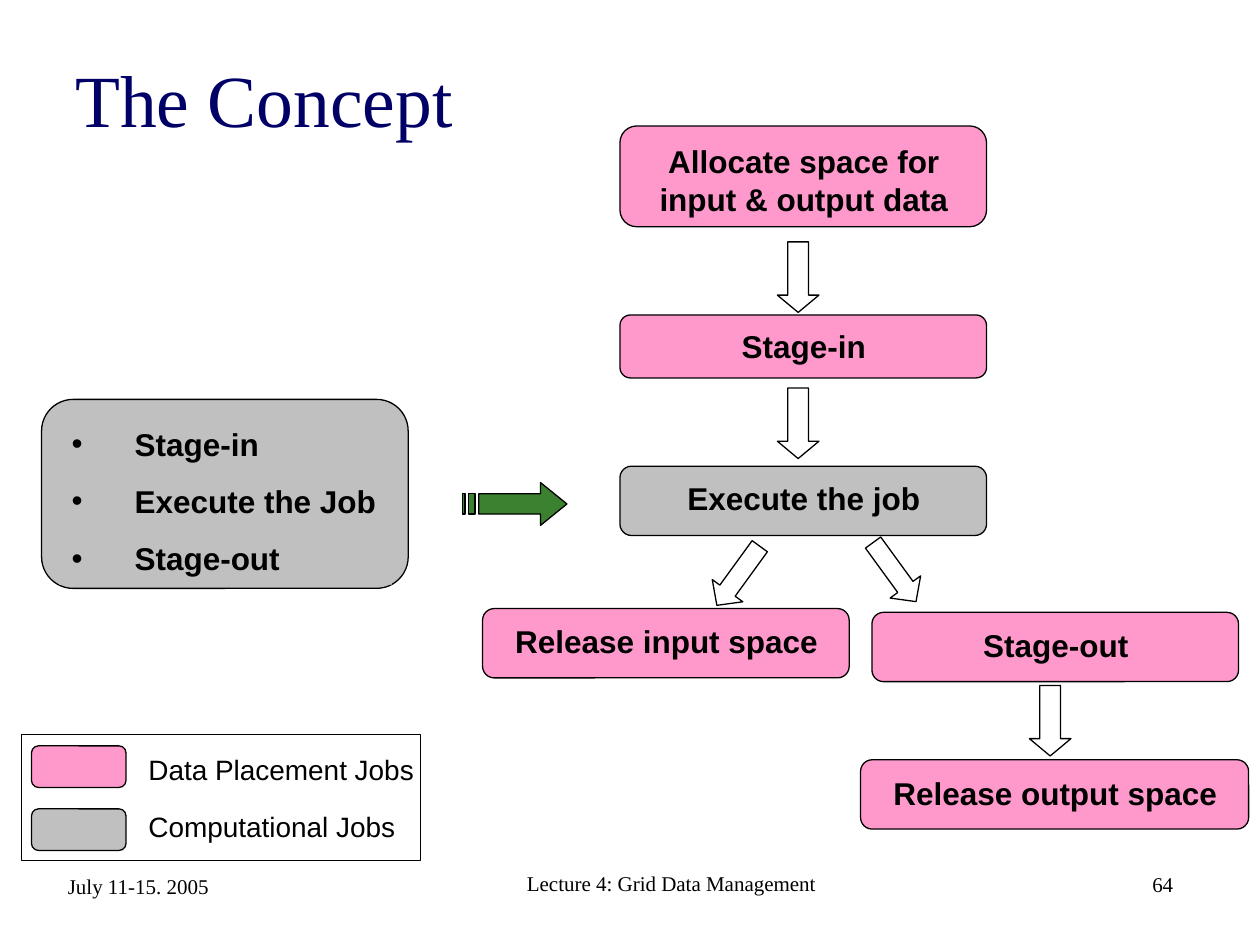
from dataclasses import dataclass
from typing import Any

from lxml.etree import SubElement
from pptx import Presentation
from pptx.dml.color import RGBColor
from pptx.enum.shapes import MSO_SHAPE as Preset
from pptx.enum.text import MSO_ANCHOR as Anchor, PP_ALIGN as Align
from pptx.oxml.ns import qn
from pptx.util import Emu, Pt

PX = 9144
BLACK, WHITE, NAVY = "000000", "FFFFFF", "000066"
PINK, GREY, GREEN = "FF99CC", "C0C0C0", "3B812F"
SANS, SERIF = "Arial", "Times New Roman"


@dataclass(frozen=True)
class Box:
    left: int
    top: int
    width: int
    height: int

    def emu(self) -> list[Emu]:
        return [Emu(n * PX) for n in (self.left, self.top, self.width, self.height)]


@dataclass(frozen=True)
class Step:
    lines: tuple[str, ...]
    box: Box
    fill: str = PINK
    text_drop: int = 6
    text_height: int = 40
    bulleted: bool = False


@dataclass(frozen=True)
class Arrow:
    box: Box
    head: float = 0.416
    turn: int = 0


@dataclass(frozen=True)
class Label:
    text: str
    box: Box
    size: int = 12
    font: str = SERIF
    colour: str = BLACK
    align: Align = Align.LEFT
    anchor: Anchor = Anchor.BOTTOM


STEPS = [
    Step(("Stage-in", "Execute the Job", "Stage-out"), Box(33, 317, 291, 150),
         GREY, 15, 132, True),
    Step(("Allocate space for input & output data",), Box(492, 100, 291, 80),
         text_drop=8, text_height=70),
    Step(("Stage-in",), Box(492, 250, 291, 50), text_drop=5),
    Step(("Execute the job",), Box(492, 370, 291, 55), GREY, 5),
    Step(("Release input space",), Box(383, 483, 291, 55)),
    Step(("Stage-out",), Box(692, 486, 291, 55)),
    Step(("Release output space",), Box(683, 603, 308, 55)),
]

ARROWS = [
    Arrow(Box(617, 192, 33, 56)),
    Arrow(Box(617, 308, 33, 56)),
    Arrow(Box(571, 428, 30, 58), 0.48, 36),
    Arrow(Box(695, 425, 30, 58), 0.48, 324),
    Arrow(Box(817, 544, 33, 56)),
]

LEGEND = [("Data Placement Jobs", PINK, 592, 592),
          ("Computational Jobs", GREY, 642, 638)]

TITLE = Label("The Concept", Box(50, 30, 858, 95), 42, colour=NAVY, anchor=Anchor.MIDDLE)
FOOTER = [
    Label("July 11-15. 2005", Box(44, 684, 227, 34)),
    Label("Lecture 4: Grid Data Management", Box(375, 683, 316, 33), align=Align.CENTER),
    Label("64", Box(708, 683, 233, 34), align=Align.RIGHT),
]


def rgb(colour: str) -> RGBColor:
    return RGBColor.from_string(colour)


def apply(target: Any, values: dict[str, Any]) -> None:
    for name, value in values.items():
        setattr(target, name, value)


def paint(shape: Any, fill: str | None, line: str | None = BLACK) -> None:
    shape.shadow.inherit = False
    if fill:
        shape.fill.solid()
        shape.fill.fore_color.rgb = rgb(fill)
    else:
        shape.fill.background()
    if line:
        shape.line.color.rgb = rgb(line)
        shape.line.width = Pt(0.75)
    else:
        shape.line.fill.background()


def add_preset(shapes: Any, kind: Preset, box: Box, fill: str | None,
               line: str | None = BLACK, adjust: tuple[float, ...] = ()) -> Any:
    shape = shapes.add_shape(kind, *box.emu())
    for index, value in enumerate(adjust):
        shape.adjustments[index] = value
    paint(shape, fill, line)
    return shape


def add_rounded(shapes: Any, box: Box, fill: str) -> None:
    add_preset(shapes, Preset.ROUNDED_RECTANGLE, box, fill, adjust=(0.167,))


def add_bullet(paragraph: Any) -> None:
    properties = paragraph._p.get_or_add_pPr()
    properties.set("marL", str(50 * PX))
    properties.set("indent", str(-50 * PX))
    colour = SubElement(properties, qn("a:buClr"))
    SubElement(colour, qn("a:srgbClr"), val=BLACK)
    SubElement(properties, qn("a:buFont"), typeface=SANS)
    SubElement(properties, qn("a:buChar"), char="•")


def write(shape: Any, lines: tuple[str, ...], font: dict[str, Any], colour: str,
          align: Align, anchor: Anchor, bulleted: bool = False) -> None:
    frame = shape.text_frame
    apply(frame, {"word_wrap": True, "vertical_anchor": anchor})
    for index, line in enumerate(lines):
        paragraph = frame.add_paragraph() if index else frame.paragraphs[0]
        paragraph.alignment = align
        if index:
            paragraph.space_before = Pt(11.2)
        if bulleted:
            add_bullet(paragraph)
        run = paragraph.add_run()
        run.text = line
        apply(run.font, font)
        run.font.color.rgb = rgb(colour)


def add_label(shapes: Any, label: Label) -> None:
    write(shapes.add_textbox(*label.box.emu()), (label.text,),
          {"size": Pt(label.size), "name": label.font},
          label.colour, label.align, label.anchor)


def add_step(shapes: Any, step: Step) -> None:
    members = shapes.add_group_shape().shapes
    box = step.box
    add_rounded(members, box, step.fill)
    inner = Box(box.left + 14, box.top + step.text_drop, box.width - 27, step.text_height)
    panel = add_preset(members, Preset.RECTANGLE, inner, step.fill, None)
    write(panel, step.lines, {"size": Pt(18), "name": SANS, "bold": True}, BLACK,
          Align.LEFT if step.bulleted else Align.CENTER, Anchor.TOP, step.bulleted)


def add_arrow(shapes: Any, arrow: Arrow) -> None:
    shape = add_preset(shapes, Preset.DOWN_ARROW, arrow.box, WHITE, adjust=(0.5, arrow.head))
    shape.rotation = arrow.turn


def add_striped_arrow(shapes: Any) -> None:
    builder = shapes.build_freeform(380, 392, scale=PX)
    builder.add_line_segments([(429, 392), (429, 383), (450, 400),
                               (429, 417), (429, 408), (380, 408)])
    for left, right in ((367, 369), (372, 377)):
        builder.move_to(left, 392)
        builder.add_line_segments([(right, 392), (right, 408), (left, 408)])
    paint(builder.convert_to_shape(), GREEN)


def add_legend(shapes: Any) -> None:
    members = shapes.add_group_shape().shapes
    for text, fill, swatch_top, text_top in LEGEND:
        add_rounded(members, Box(25, swatch_top, 75, 33), fill)
        add_label(members, Label(text, Box(108, text_top, 242, 37), 16, SANS,
                                 anchor=Anchor.TOP))
    add_preset(members, Preset.RECTANGLE, Box(17, 583, 317, 100), None)


def main() -> None:
    deck = Presentation()
    apply(deck, {"slide_width": Emu(1000 * PX), "slide_height": Emu(750 * PX)})
    shapes = deck.slides.add_slide(deck.slide_layouts[6]).shapes
    add_label(shapes, TITLE)
    for step in STEPS:
        add_step(shapes, step)
    for arrow in ARROWS:
        add_arrow(shapes, arrow)
    add_striped_arrow(shapes)
    add_legend(shapes)
    for label in FOOTER:
        add_label(shapes, label)
    deck.save("out.pptx")


if __name__ == "__main__":
    main()
